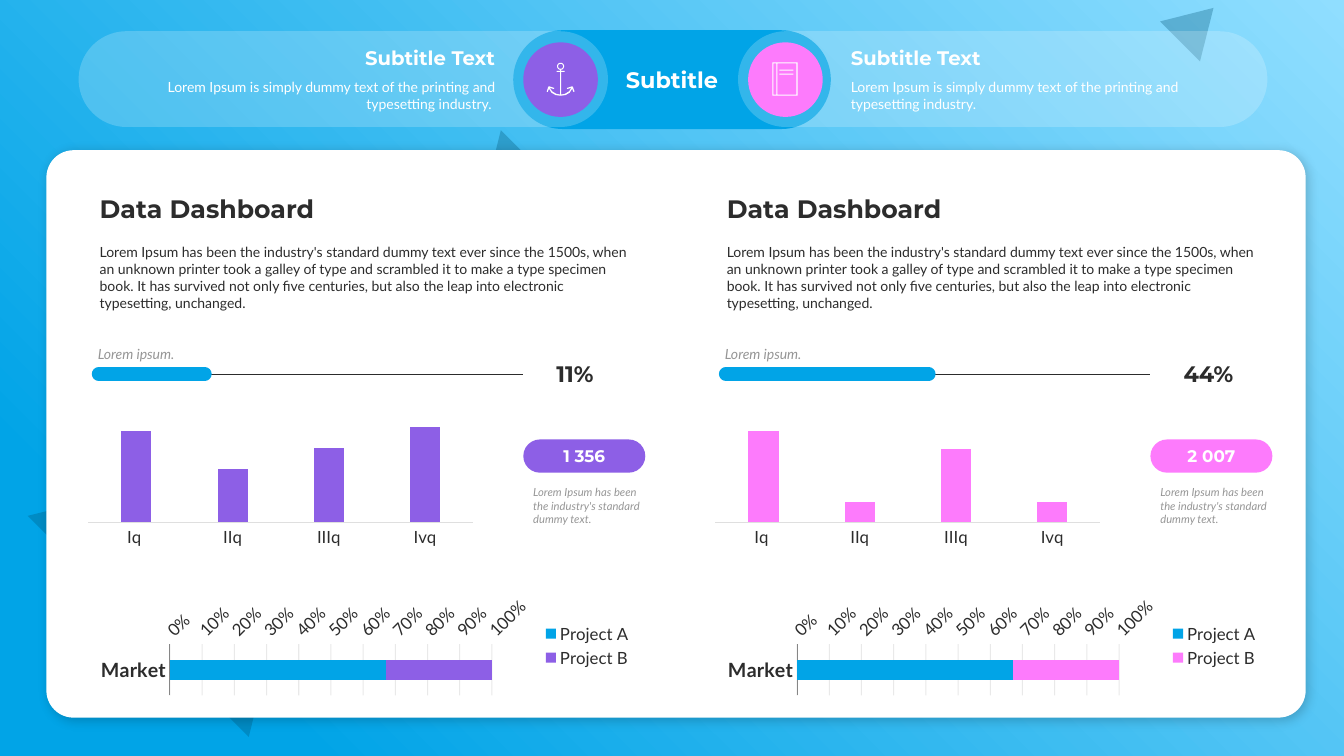
"""Build a dashboard slide with a header band and two data panels."""
import math
from dataclasses import dataclass

import pptx
import pptx.chart.data
import pptx.dml.color
import pptx.enum.chart
import pptx.enum.shapes
import pptx.enum.text
import pptx.oxml
import pptx.oxml.ns
import pptx.util
from lxml import etree


@dataclass(frozen=True)
class Theme:
    head: str = "Montserrat"
    body: str = "Lato"
    blue: str = "01A4E7"
    sky: str = "90DEFF"
    navy: str = "005274"
    white: str = "FFFFFF"
    ink: str = "2C2C2C"
    gray: str = "969696"
    rule: str = "DFDFDF"
    axis: str = "868686"
    purple: str = "8D5FE6"
    pink: str = "FD7BFC"
    note: int = 8
    small: int = 10
    label: int = 12
    heading: int = 14
    large: int = 16
    title: int = 18


THEME = Theme()
PX = 9144
PANEL_STEP = 622
KIND = pptx.enum.shapes.MSO_SHAPE
ALIGN = pptx.enum.text.PP_ALIGN
ANCHOR = pptx.enum.text.MSO_ANCHOR
CHART = pptx.enum.chart
qn = pptx.oxml.ns.qn

TRIANGLES = [((73, 402, 310, 257), 45), ((457, 150, 90, 75), 225), ((1159, 1, 56, 47), 45)]
BAND = ("Subtitle Text", "Lorem Ipsum is simply dummy text of the printing and typesetting industry. ")
BAND_SIDES = [(732, ALIGN.LEFT, (98, 5, 20, 5), 742, THEME.pink),
              (78, ALIGN.RIGHT, (20, 5, 98, 5), 519, THEME.purple)]
INTRO = ("Lorem Ipsum has been the industry's standard dummy text ever since the 1500s, when an unknown "
         "printer took a galley of type and scrambled it to make a type specimen book. It has survived not "
         "only five centuries, but also the leap into electronic typesetting, unchanged.")
NOTE = "Lorem Ipsum has been the industry's standard dummy text."
QUARTERS = ["Iq ", "IIq", "IIIq", "Ivq"]
SHARES = [("Project A", 67), ("Project B", 33)]
PANELS = [
    dict(color=THEME.purple, percent="11%", bar=105, total="1 356", bars=(96, 56, 78, 100), top=111),
    dict(color=THEME.pink, percent="44%", bar=201, total="2 007", bars=(100, 23, 81, 23), top=116),
]
ANCHOR_HALF = [(5, 693), (5, 703), (40, 703), (40, 713), (5, 713), (5, 938), (45, 930), (85, 905),
               (108, 872), (67, 883), (62, 873), (112, 857), (122, 860), (138, 908), (128, 913),
               (115, 880), (90, 920), (50, 943), (0, 950)]
BOOK = [(7660, 620, 7910, 950), (7670, 630, 7700, 940), (7710, 630, 7900, 940)]


def rgb(value):
    return pptx.dml.color.RGBColor.from_string(value)


def fade(element, percent):
    for color in element.iter(qn("a:srgbClr")):
        etree.SubElement(color, qn("a:alpha"), val=str(percent * 1000))


def paint(shape, color, opacity=100):
    shape.shadow.inherit = False
    shape.line.fill.background()
    shape.fill.solid()
    shape.fill.fore_color.rgb = rgb(color)
    if opacity < 100:
        fade(shape._element.spPr, opacity)


def add_shape(page, kind, at, color, opacity=100, round_by=None):
    shape = page.shapes.add_shape(kind, *(n * PX for n in at))
    paint(shape, color, opacity)
    if round_by is not None:
        shape.adjustments[0] = round_by
    return shape


def style(font, size, color, name=THEME.body, bold=False, italic=False):
    font.size, font.name, font.bold, font.italic = pptx.util.Pt(size), name, bold, italic
    font.color.rgb = rgb(color)


def write(box, paras, align=ALIGN.LEFT, anchor=ANCHOR.MIDDLE, insets=(10, 5, 10, 5), after=0):
    frame = box.text_frame
    frame.word_wrap = True
    frame.vertical_anchor = anchor
    frame.margin_left, frame.margin_top, frame.margin_right, frame.margin_bottom = (n * PX for n in insets)
    for index, (text, look) in enumerate(paras):
        para = frame.add_paragraph() if index else frame.paragraphs[0]
        para.alignment = align
        para.space_after = pptx.util.Pt(after)
        span = para.add_run()
        span.text = text
        style(span.font, **look)


def add_text(page, at, text, look, **layout):
    box = page.shapes.add_textbox(*(n * PX for n in at))
    write(box, [(text, look)], **layout)
    box.text_frame.auto_size = pptx.enum.text.MSO_AUTO_SIZE.SHAPE_TO_FIT_TEXT


def add_rule(page, left, right, y, color, width):
    rule = page.shapes.add_connector(pptx.enum.shapes.MSO_CONNECTOR.STRAIGHT, *(n * PX for n in (left, y, right, y)))
    rule.line.color.rgb = rgb(color)
    rule.line.width = pptx.util.Pt(width)
    etree.SubElement(rule._element.spPr, qn("a:effectLst"))
    return rule


def add_outline(page, contours):
    builder = None
    for contour in contours:
        if builder is None:
            builder = page.shapes.build_freeform(*contour[0], scale=PX / 10)
        else:
            builder.move_to(*contour[0])
        builder.add_line_segments(contour[1:], close=True)
    paint(builder.convert_to_shape(), THEME.white)


def add_backdrop(page):
    backdrop = add_shape(page, KIND.RECTANGLE, (0, 0, 1333, 750), THEME.blue)
    backdrop.fill.gradient()
    for stop, color, position in zip(backdrop.fill.gradient_stops, (THEME.sky, THEME.blue), (0, 0.85)):
        stop.color.rgb, stop.position = rgb(color), position
    gradient = backdrop._element.spPr.find(qn("a:gradFill"))
    gradient.remove(gradient.find(qn("a:lin")))
    route = etree.SubElement(gradient, qn("a:path"), path="circle")
    etree.SubElement(route, qn("a:fillToRect"), l="100000", b="100000")
    for at, turn in TRIANGLES:
        add_shape(page, KIND.ISOSCELES_TRIANGLE, at, THEME.navy, 30).rotation = turn


def add_band(page):
    heading = dict(size=THEME.heading, color=THEME.white, name=THEME.head, bold=True)
    center = add_shape(page, KIND.ROUNDED_RECTANGLE, (509, 30, 315, 98), THEME.blue, round_by=0.5)
    write(center, [("Subtitle", heading | dict(size=THEME.large))], ALIGN.CENTER, insets=(87, 5, 87, 5))
    for left, align, insets, disc, color in BAND_SIDES:
        side = add_shape(page, KIND.ROUNDED_RECTANGLE, (left, 31, 525, 95), THEME.white, 20, 0.5)
        looks = (heading, dict(size=THEME.small, color=THEME.white))
        write(side, list(zip(BAND, looks)), align, insets=insets, after=6)
        add_shape(page, KIND.OVAL, (disc, 42, 74, 74), color)
    half = [(5560 + x, y) for x, y in ANCHOR_HALF]
    mirrored = [(5560 - x, y) for x, y in reversed(ANCHOR_HALF)]
    angles = [math.radians(step * 15) for step in range(24)]
    rings = [[(5560 + r * math.cos(a), 658 + r * math.sin(a)) for a in angles] for r in (35, 25)]
    add_outline(page, [half + mirrored[1:], *rings])
    add_outline(page, [[(l, t), (r, t), (r, b), (l, b)] for l, t, r, b in BOOK])
    for top in (69, 73):
        add_shape(page, KIND.RECTANGLE, (773, top, 14, 1), THEME.white)


def add_card(page):
    card = add_shape(page, KIND.ROUNDED_RECTANGLE, (46, 149, 1249, 563), THEME.white, round_by=0.048)
    shadow = etree.SubElement(card._element.spPr.find(qn("a:effectLst")), qn("a:outerShdw"), blurRad="101600",
                              dist="38100", dir="2700000", algn="tl", rotWithShape="0")
    etree.SubElement(shadow, qn("a:srgbClr"), val="000000")
    fade(shadow, 20)


def add_chart(page, kind, at, categories, series, colors, gap, overlap):
    data = pptx.chart.data.CategoryChartData()
    data.categories = categories
    for name, values in series:
        data.add_series(name, values)
    chart = page.shapes.add_chart(kind, *(n * PX for n in at), data).chart
    style(chart.font, THEME.label, THEME.ink)
    chart.has_title = chart.has_legend = False
    plot = chart.plots[0]
    plot.gap_width, plot.overlap, plot.vary_by_categories = gap, overlap, False
    for row, color in zip(plot.series, colors):
        row.format.fill.solid()
        row.format.fill.fore_color.rgb = rgb(color)
    for axis in (chart.category_axis, chart.value_axis):
        axis.major_tick_mark = axis.minor_tick_mark = CHART.XL_TICK_MARK.NONE
    return chart


def add_quarters(page, left, panel):
    chart = add_chart(page, CHART.XL_CHART_TYPE.COLUMN_CLUSTERED, (left + 78, 398, 401, 165), QUARTERS,
                      [("Series 1", panel["bars"])], [panel["color"]], 219, -27)
    chart.value_axis.visible = chart.value_axis.has_major_gridlines = False
    chart.value_axis.minimum_scale, chart.value_axis.maximum_scale = 0, panel["top"]
    chart.category_axis.format.line.color.rgb = rgb(THEME.rule)
    area = chart._chartSpace.find(".//" + qn("c:plotArea"))
    for old in area.findall(qn("c:layout")):
        area.remove(old)
    layout = pptx.oxml.parse_xml(f'<c:layout {pptx.oxml.ns.nsdecls("c")}><c:manualLayout/></c:layout>')
    for tag, value in (("layoutTarget", "inner"), ("xMode", "edge"), ("yMode", "edge"),
                       ("x", "0.024"), ("y", "0.095"), ("w", "0.952"), ("h", "0.635")):
        etree.SubElement(layout[0], qn("c:" + tag), val=value)
    area.insert(0, layout)


def add_shares(page, left, color):
    chart = add_chart(page, CHART.XL_CHART_TYPE.BAR_STACKED_100, (left + 89, 589, 548, 103), ["Market"],
                      [(name, [value]) for name, value in SHARES], [THEME.blue, color], 155, 100)
    market, scale = chart.category_axis, chart.value_axis
    market.reverse_order = True
    style(market.tick_labels.font, THEME.heading, THEME.ink, bold=True)
    market.format.line.color.rgb = rgb(THEME.axis)
    scale.format.line.fill.background()
    scale.tick_labels.number_format, scale.tick_labels.number_format_is_linked = "0%", False
    scale.major_gridlines.format.line.color.rgb = rgb(THEME.ink)
    scale.major_gridlines.format.line.width = pptx.util.Pt(0.75)
    fade(scale._element.find(qn("c:majorGridlines")), 10)
    chart.has_legend = True
    chart.legend.position, chart.legend.include_in_layout = CHART.XL_LEGEND_POSITION.RIGHT, False


def add_panel(page, left, panel):
    strong = dict(color=THEME.ink, name=THEME.head, bold=True)
    quiet = dict(color=THEME.gray, italic=True)
    pill = add_shape(page, KIND.ROUNDED_RECTANGLE, (left + 519, 436, 121, 33), panel["color"], round_by=0.5)
    write(pill, [(panel["total"], strong | dict(size=THEME.label, color=THEME.white))], ALIGN.CENTER, insets=(0,) * 4)
    add_text(page, (left + 519, 477, 138, 50), NOTE, quiet | dict(size=THEME.note), anchor=ANCHOR.TOP)
    add_quarters(page, left, panel)
    add_shares(page, left, panel["color"])
    add_text(page, (left + 89, 237, 548, 77), INTRO, dict(size=THEME.small, color=THEME.ink),
             anchor=ANCHOR.TOP, after=6)
    add_text(page, (left + 89, 187, 548, 40), "Data Dashboard", strong | dict(size=THEME.title), anchor=ANCHOR.BOTTOM)
    add_rule(page, left + 93, left + 519, 371, THEME.ink, 0.5)
    progress = add_rule(page, left + 98, left + 98 + panel["bar"], 371, THEME.blue, 10)
    progress._element.spPr.find(qn("a:ln")).set("cap", "rnd")
    add_text(page, (left + 542, 352, 95, 37), panel["percent"], strong | dict(size=THEME.large))
    add_text(page, (left + 89, 337, 192, 27), "Lorem ipsum.", quiet | dict(size=THEME.small),
             anchor=ANCHOR.BOTTOM, insets=(8, 5, 10, 5))


def main():
    deck = pptx.Presentation()
    deck.slide_width, deck.slide_height = 1333 * PX, 750 * PX
    page = deck.slides.add_slide(deck.slide_layouts[6])
    add_backdrop(page)
    add_band(page)
    add_card(page)
    for index, panel in enumerate(PANELS):
        add_panel(page, index * PANEL_STEP, panel)
    deck.save("out.pptx")


if __name__ == "__main__":
    main()
